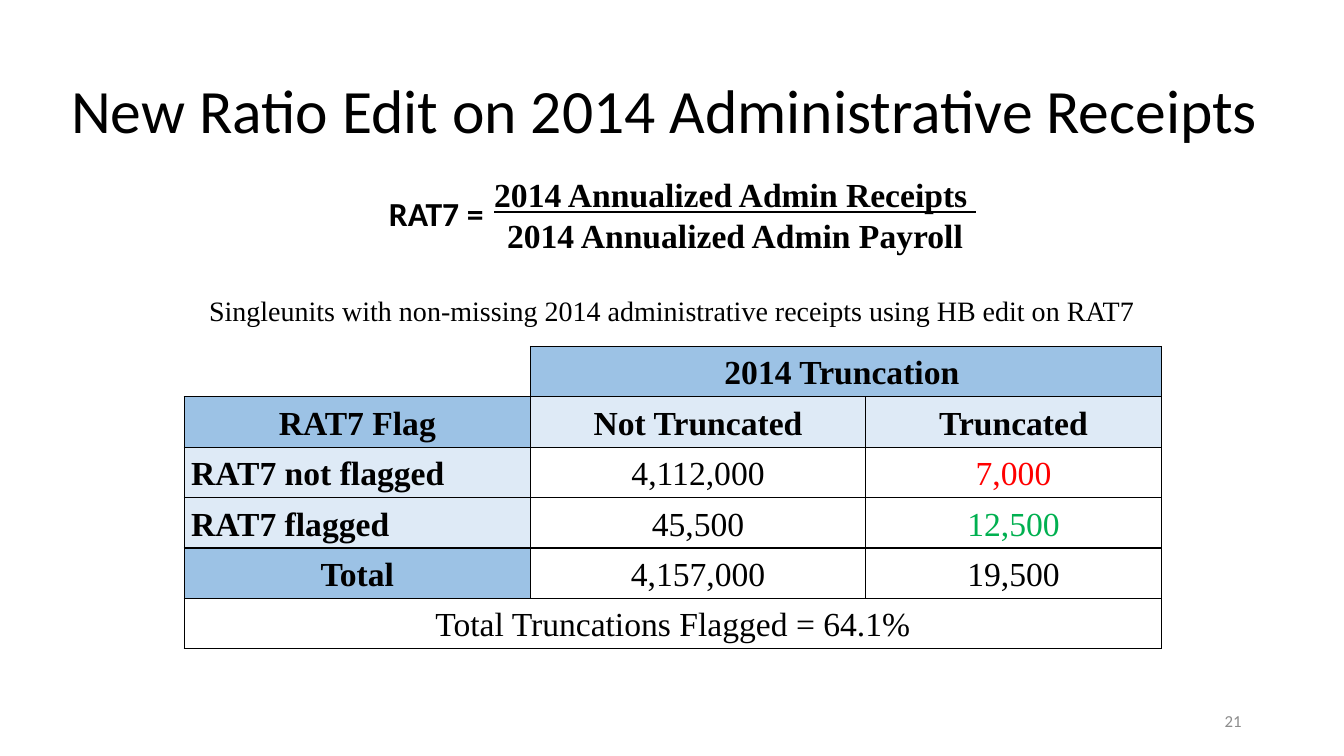
import dataclasses
import typing

import lxml.etree
import pptx
import pptx.dml.color
import pptx.enum.text
import pptx.oxml.ns
import pptx.util

Pt = pptx.util.Pt
RGBColor = pptx.dml.color.RGBColor
Align = pptx.enum.text.PP_ALIGN
Anchor = pptx.enum.text.MSO_ANCHOR

BLACK = RGBColor(0x00, 0x00, 0x00)
GRAY = RGBColor(0x8C, 0x8C, 0x8C)
RED = RGBColor(0xFF, 0x00, 0x00)
GREEN = RGBColor(0x00, 0xB0, 0x50)
BLUE = RGBColor(0x9C, 0xC2, 0xE5)
PALE_BLUE = RGBColor(0xDE, 0xEA, 0xF6)

SANS = "Calibri"
SERIF = "Times New Roman"


@dataclasses.dataclass(frozen=True)
class Line:
    text: str
    size: float = 24
    name: str = SERIF
    bold: bool = False
    underline: bool = False
    color: RGBColor = BLACK
    align: Align = Align.CENTER


@dataclasses.dataclass(frozen=True)
class Label:
    left: float
    top: float
    width: float
    height: float
    lines: tuple[Line, ...]
    anchor: Anchor = Anchor.TOP


@dataclasses.dataclass(frozen=True)
class Entry:
    line: Line
    fill: typing.Optional[RGBColor] = None
    span: int = 1


def heading(text: str, fill: RGBColor = BLUE, align: Align = Align.CENTER, span: int = 1) -> Entry:
    return Entry(Line(text, bold=True, align=align), fill, span)


def value(text: str, color: RGBColor = BLACK, span: int = 1) -> Entry:
    return Entry(Line(text, color=color), span=span)


LABELS = (
    Label(131, 206, 698, 31.5, (
        Line("Singleunits with non-missing 2014 administrative receipts using HB edit on RAT7", 20),)),
    Label(335.5, 121, 379, 65.5, (
        Line("2014 Annualized Admin Receipts ", bold=True, underline=True),
        Line("2014 Annualized Admin Payroll", bold=True))),
    Label(270.7, 134.6, 171, 36, (Line("RAT7 =", name=SANS, bold=True, align=Align.LEFT),)),
    Label(678, 500.5, 216, 28.8, (
        Line("21", 12, SANS, color=GRAY, align=Align.RIGHT),), Anchor.MIDDLE),
)

COLUMN_WIDTHS = (247.5, 239.2, 211.5)
ROW_HEIGHT = 36
ROWS: tuple[tuple[typing.Optional[Entry], ...], ...] = (
    (None, heading("2014 Truncation ", span=2)),
    (heading("RAT7 Flag"), heading("Not Truncated", PALE_BLUE), heading("Truncated", PALE_BLUE)),
    (heading("RAT7 not flagged", PALE_BLUE, Align.LEFT), value("4,112,000"), value("7,000", RED)),
    (heading("RAT7 flagged", PALE_BLUE, Align.LEFT), value("45,500"), value("12,500", GREEN)),
    (heading("Total"), value("4,157,000"), value("19,500")),
    (value("Total Truncations Flagged = 64.1%", span=3),),
)


def set_values(target: typing.Any, values: dict[str, typing.Any]) -> None:
    for name, setting in values.items():
        setattr(target, name, setting)


def write_line(paragraph: typing.Any, line: Line, spacing: dict[str, typing.Any]) -> None:
    set_values(paragraph, {"alignment": line.align, **spacing})
    run = paragraph.add_run()
    run.text = line.text
    set_values(run.font, {"size": Pt(line.size), "name": line.name,
                          "bold": line.bold, "underline": line.underline})
    run.font.color.rgb = line.color


def add_label(slide: typing.Any, label: Label) -> None:
    shape = slide.shapes.add_textbox(
        Pt(label.left), Pt(label.top), Pt(label.width), Pt(label.height))
    frame = shape.text_frame
    set_values(frame, {"word_wrap": True, "vertical_anchor": label.anchor})
    for index, line in enumerate(label.lines):
        paragraph = frame.add_paragraph() if index else frame.paragraphs[0]
        write_line(paragraph, line, {})


def add_borders(cell: typing.Any, sides: str) -> None:
    properties = cell._tc.get_or_add_tcPr()
    qn = pptx.oxml.ns.qn
    for position, side in enumerate(sides):
        border = lxml.etree.Element(qn(f"a:ln{side}"), w=str(Pt(1)))
        fill = lxml.etree.SubElement(border, qn("a:solidFill"))
        lxml.etree.SubElement(fill, qn("a:srgbClr"), val=str(BLACK))
        properties.insert(position, border)


def fill_cell(cell: typing.Any, entry: Entry) -> None:
    set_values(cell, {"margin_left": Pt(5), "margin_right": Pt(5), "margin_top": 0,
                      "margin_bottom": 0, "vertical_anchor": Anchor.MIDDLE})
    if entry.fill is not None:
        cell.fill.solid()
        cell.fill.fore_color.rgb = entry.fill
    write_line(cell.text_frame.paragraphs[0], entry.line,
               {"line_spacing": 1.1, "space_after": Pt(8)})


def add_truncation_table(slide: typing.Any) -> None:
    table = slide.shapes.add_table(
        len(ROWS), len(COLUMN_WIDTHS), Pt(131.5), Pt(247.5),
        Pt(sum(COLUMN_WIDTHS)), Pt(ROW_HEIGHT * len(ROWS))).table
    set_values(table, {"first_row": False, "horz_banding": False})
    for column, width in zip(table.columns, COLUMN_WIDTHS):
        column.width = Pt(width)
    for row_index, entries in enumerate(ROWS):
        table.rows[row_index].height = Pt(ROW_HEIGHT)
        for cell in table.rows[row_index].cells:
            cell.fill.background()
        column_index = 0
        for entry in entries:
            cell = table.cell(row_index, column_index)
            span = entry.span if entry else 1
            if entry:
                fill_cell(cell, entry)
            if span > 1:
                cell.merge(table.cell(row_index, column_index + span - 1))
            # The empty corner is open at the left and top
            for offset in range(span):
                add_borders(table.cell(row_index, column_index + offset), "LRTB" if entry else "RB")
            column_index += span


def main() -> None:
    presentation = pptx.Presentation()
    set_values(presentation, {"slide_width": Pt(960), "slide_height": Pt(540)})
    slide = presentation.slides.add_slide(presentation.slide_layouts.get_by_name("Title Only"))

    # Title
    title = slide.shapes.title
    set_values(title, {"left": 0, "top": Pt(28.8), "width": Pt(960), "height": Pt(104.4)})
    set_values(title.text_frame, {"word_wrap": True, "vertical_anchor": Anchor.MIDDLE})
    write_line(title.text_frame.paragraphs[0],
               Line("New Ratio Edit on 2014 Administrative Receipts ", 44, SANS),
               {"line_spacing": 0.9})

    # Table, then caption, formula and page number
    add_truncation_table(slide)
    for label in LABELS:
        add_label(slide, label)

    presentation.save("out.pptx")


if __name__ == "__main__":
    main()
